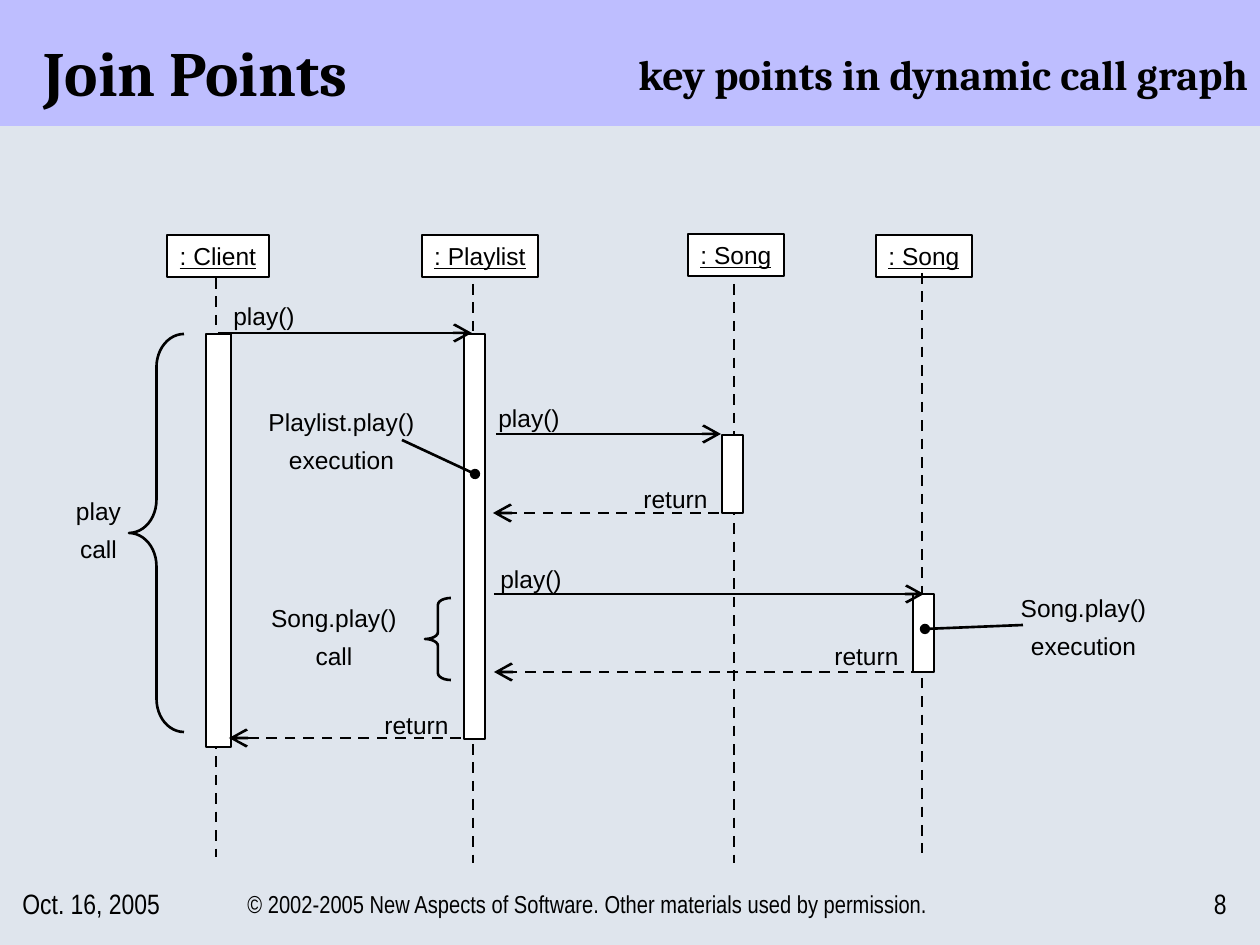
from lxml.etree import SubElement
from pptx import Presentation
from pptx.dml.color import RGBColor
from pptx.enum.dml import MSO_LINE
from pptx.enum.shapes import MSO_CONNECTOR, MSO_SHAPE as SHAPE
from pptx.enum.text import MSO_ANCHOR as ANCHOR, PP_ALIGN as ALIGN
from pptx.oxml.ns import qn
from pptx.util import Pt

PX = 914400 / 126
BLACK, WHITE, BACK, BAND = "000000", "FFFFFF", "DFE5ED", "BEBEFF"

# Content, lengths in px
TITLE = "Join Points"
SUBTITLE = "key points in dynamic call graph"
OBJECTS = [  # name, header left, top, width, lifeline x, top, bottom
    (": Client", 167, 235, 102, 216, 278, 857),
    (": Playlist", 422, 235, 116, 473, 284, 863),
    (": Song", 688, 234, 96, 734, 284, 863),
    (": Song", 876, 235, 96, 922, 273, 853),
]
ACTIVATIONS = [  # left, top, width, height
    (206, 334, 25, 413), (464, 334, 21, 405),
    (722, 435, 21, 78), (913, 594, 21, 78),
]
MESSAGES = [  # text, label left, top, width, from x, to x, y
    ("play()", 221, 295, 88, 218, 472, 333),
    ("play()", 486, 397, 88, 496, 721, 434),
    ("return", 631, 478, 92, 719, 493, 513),
    ("play()", 488, 558, 88, 494, 924, 594),
    ("return", 822, 635, 92, 922, 494, 672),
    ("return", 372, 704, 92, 461, 229, 738),
]
NOTES = [  # lines, left, top, width
    (("play", "call"), 63, 497, 71),
    (("Song.play()", "call"), 247, 604, 174),
    (("Playlist.play()", "execution"), 256, 408, 171),
    (("Song.play()", "execution"), 1006, 594, 155),
]
POINTERS = [(402, 440, 475, 474), (1023, 625, 925, 629)]
BRACES = [(129, 334, 55, 398), (425, 598, 26, 82)]
FOOTERS = [  # text, left, width, size, alignment
    ("Oct. 16, 2005", 10, 210, 16, ALIGN.LEFT),
    ("© 2002-2005 New Aspects of Software. Other materials used by permission.",
     220, 735, 14, ALIGN.CENTER),
    ("8", 1166, 73, 16, ALIGN.RIGHT),
]
HEAD_SIZES = {"arrow": "lg", "oval": "med"}


def emu(*lengths):
    return [round(v * PX) for v in lengths]


def rgb(color):
    return RGBColor.from_string(color)


def write(s, lines, size=14, align=ALIGN.LEFT, anchor=ANCHOR.TOP, wrap=False,
          spacing=None, name="Arial", **font):
    tf = s.text_frame
    tf.word_wrap, tf.vertical_anchor = wrap, anchor
    for i, line_text in enumerate(lines):
        p = tf.add_paragraph() if i else tf.paragraphs[0]
        p.alignment = align
        if spacing:
            p.line_spacing = spacing
        if i:
            p.space_before = Pt(8.8)
        r = p.add_run()
        r.text = line_text
        r.font.color.rgb = rgb(BLACK)
        for key, value in dict(font, size=Pt(size), name=name).items():
            setattr(r.font, key, value)


def text(box, lines, **style):
    write(slide.shapes.add_textbox(*emu(*box)), lines, **style)


def shape(kind, box, fill=None, outline=True):
    s = slide.shapes.add_shape(kind, *emu(*box))
    s.shadow.inherit = False
    if fill:
        s.fill.solid()
        s.fill.fore_color.rgb = rgb(fill)
    else:
        s.fill.background()
    if outline:
        s.line.color.rgb = rgb(BLACK)
        s.line.width = Pt(1.5)
    else:
        s.line.fill.background()
    return s


def line(ends, head=None, dashed=False):
    s = slide.shapes.add_connector(MSO_CONNECTOR.STRAIGHT, *emu(*ends))
    s.line.color.rgb = rgb(BLACK)
    s.line.width = Pt(1.5)
    if dashed:
        s.line.dash_style = MSO_LINE.DASH
    if head:
        size = HEAD_SIZES[head]
        SubElement(s.line._get_or_add_ln(), qn("a:tailEnd"),
                   type=head, w=size, len=size)
    SubElement(s._element.spPr, qn("a:effectLst"))


prs = Presentation()
prs.slide_width, prs.slide_height = emu(1260, 945)
slide = prs.slides.add_slide(prs.slide_layouts[5])
slide.background.fill.solid()
slide.background.fill.fore_color.rgb = rgb(BACK)

# Title band, placed behind the title
band = shape(SHAPE.RECTANGLE, (0, 0, 1260, 126), BAND, outline=False)
title = slide.shapes.title
title._element.addprevious(band._element)
title.left, title.top, title.width, title.height = emu(31, 20, 1207, 95)
write(title, [TITLE], size=36, anchor=ANCHOR.BOTTOM, wrap=True,
      name="Cambria", bold=True)
text((444, 42, 816, 63), [SUBTITLE], size=24, align=ALIGN.RIGHT, wrap=True,
     name="Cambria", bold=True)

# Objects, lifelines and activation bars
for name, left, top, width, x, y1, y2 in OBJECTS:
    header = shape(SHAPE.RECTANGLE, (left, top, width, 42), WHITE)
    write(header, [name], align=ALIGN.CENTER, anchor=ANCHOR.MIDDLE,
          underline=True)
    line((x, y1, x, y2), dashed=True)
for box in ACTIVATIONS:
    shape(SHAPE.RECTANGLE, box, WHITE)

# Messages: returns are dashed
for label, left, top, width, x1, x2, y in MESSAGES:
    line((x1, y, x2, y), "arrow", dashed=label == "return")
    text((left, top, width, 43), [label])

# Join point notes, pointers and braces
for lines, left, top, width in NOTES:
    text((left, top, width, 72), lines, align=ALIGN.CENTER, spacing=0.75)
for ends in POINTERS:
    line(ends, "oval")
for box in BRACES:
    brace = shape(SHAPE.LEFT_BRACE, box)
    brace.adjustments[0] = box[3] / 12 / box[2]  # each curve is 1/12 of height

# Footer
for label, left, width, size, align in FOOTERS:
    text((left, 872, width, 63), [label], size=size, align=align,
         anchor=ANCHOR.MIDDLE, wrap=True, name="Arial Narrow")

prs.save("out.pptx")
